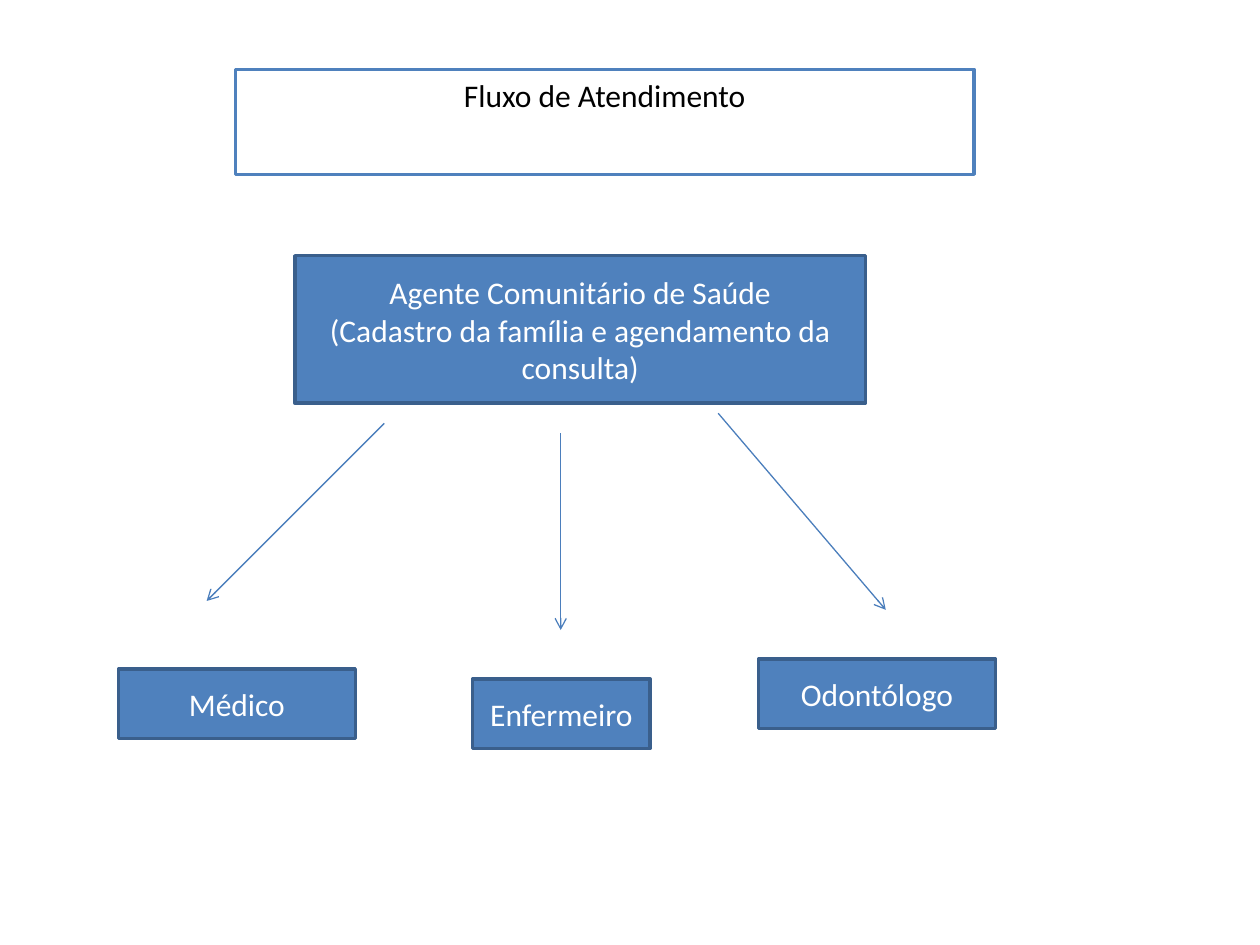
from dataclasses import dataclass

from lxml import etree
from pptx import Presentation
from pptx.dml.color import RGBColor
from pptx.enum import shapes, text
from pptx.oxml import ns
from pptx.util import Inches, Pt


@dataclass(frozen=True)
class Theme:
    font: str = "Calibri"
    size: float = 18
    blue: str = "4F81BD"
    border: str = "3A5F8C"
    arrow: str = "4B7EBC"
    white: str = "FFFFFF"
    black: str = "000000"
    border_width: float = 2
    arrow_width: float = 0.75


THEME = Theme()

AGENT = (
    (2.34, 2.03, 4.53, 1.17),
    "Agente Comunitário de Saúde\n(Cadastro da família e agendamento da consulta)",
)
PROFESSIONALS = [
    ("Médico", (0.94, 5.31, 1.88, 0.55), (3.05, 3.36), (1.64, 4.77)),
    ("Enfermeiro", (3.75, 5.39, 1.41, 0.55), (4.45, 3.44), (4.45, 5)),
    ("Odontólogo", (6.02, 5.23, 1.88, 0.55), (5.7, 3.28), (7.03, 4.84)),
]


def style_box(box, fill, border, ink, wording, anchor):
    box.fill.solid()
    box.fill.fore_color.rgb = RGBColor.from_string(fill)
    box.line.color.rgb = RGBColor.from_string(border)
    box.line.width = Pt(THEME.border_width)
    frame = box.text_frame
    frame.text = wording
    frame.word_wrap = True
    frame.vertical_anchor = anchor
    for paragraph in frame.paragraphs:
        paragraph.alignment = text.PP_ALIGN.CENTER
        for run in paragraph.runs:
            run.font.name = THEME.font
            run.font.size = Pt(THEME.size)
            run.font.color.rgb = RGBColor.from_string(ink)


def add_heading(slide, bounds, wording):
    heading = slide.shapes.title
    heading.left, heading.top, heading.width, heading.height = map(Inches, bounds)
    style_box(heading, THEME.white, THEME.blue, THEME.black, wording,
              text.MSO_ANCHOR.TOP)
    heading.text_frame.auto_size = text.MSO_AUTO_SIZE.SHAPE_TO_FIT_TEXT


def add_step(slide, bounds, wording):
    step = slide.shapes.add_shape(
        shapes.MSO_SHAPE.FLOWCHART_PROCESS, *map(Inches, bounds))
    step.shadow.inherit = False
    style_box(step, THEME.blue, THEME.border, THEME.white, wording,
              text.MSO_ANCHOR.MIDDLE)


def add_arrow(slide, start, end):
    arrow = slide.shapes.add_connector(
        shapes.MSO_CONNECTOR.STRAIGHT, *map(Inches, start + end))
    arrow.line.color.rgb = RGBColor.from_string(THEME.arrow)
    arrow.line.width = Pt(THEME.arrow_width)
    etree.SubElement(arrow.line._get_or_add_ln(), ns.qn("a:tailEnd"), type="arrow")
    etree.SubElement(arrow._element.spPr, ns.qn("a:effectLst"))


def add_flow(slide, agent, professionals):
    add_step(slide, *agent)
    for wording, bounds, start, end in professionals:
        add_arrow(slide, start, end)
        add_step(slide, bounds, wording)


def main():
    deck = Presentation()
    deck.slide_width, deck.slide_height = Inches(10), Inches(7.5)
    slide = deck.slides.add_slide(deck.slide_layouts.get_by_name("Title Only"))
    add_heading(slide, (1.87, 0.55, 5.86, 0.4), "Fluxo de Atendimento")
    add_flow(slide, AGENT, PROFESSIONALS)
    deck.save("out.pptx")


if __name__ == "__main__":
    main()
